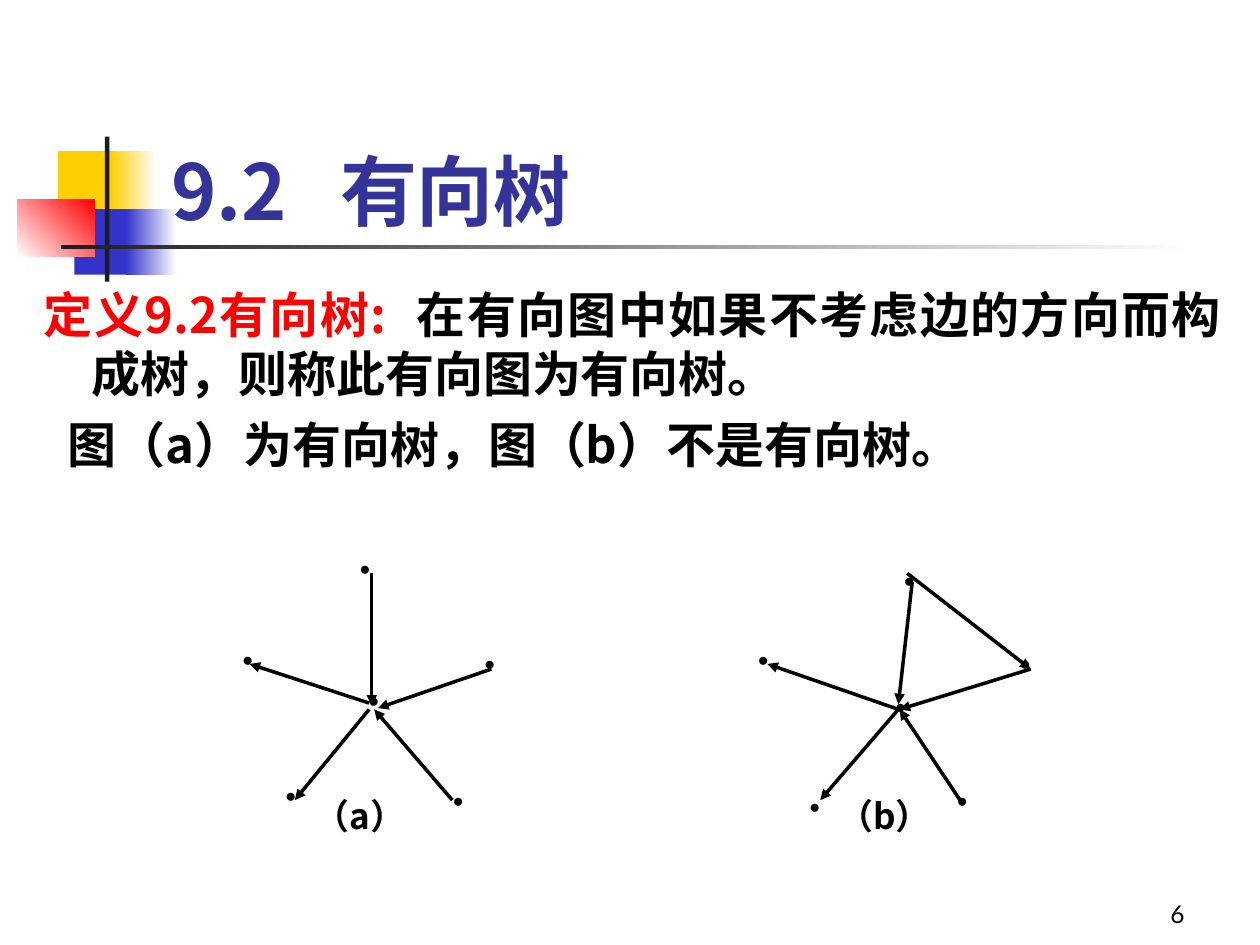
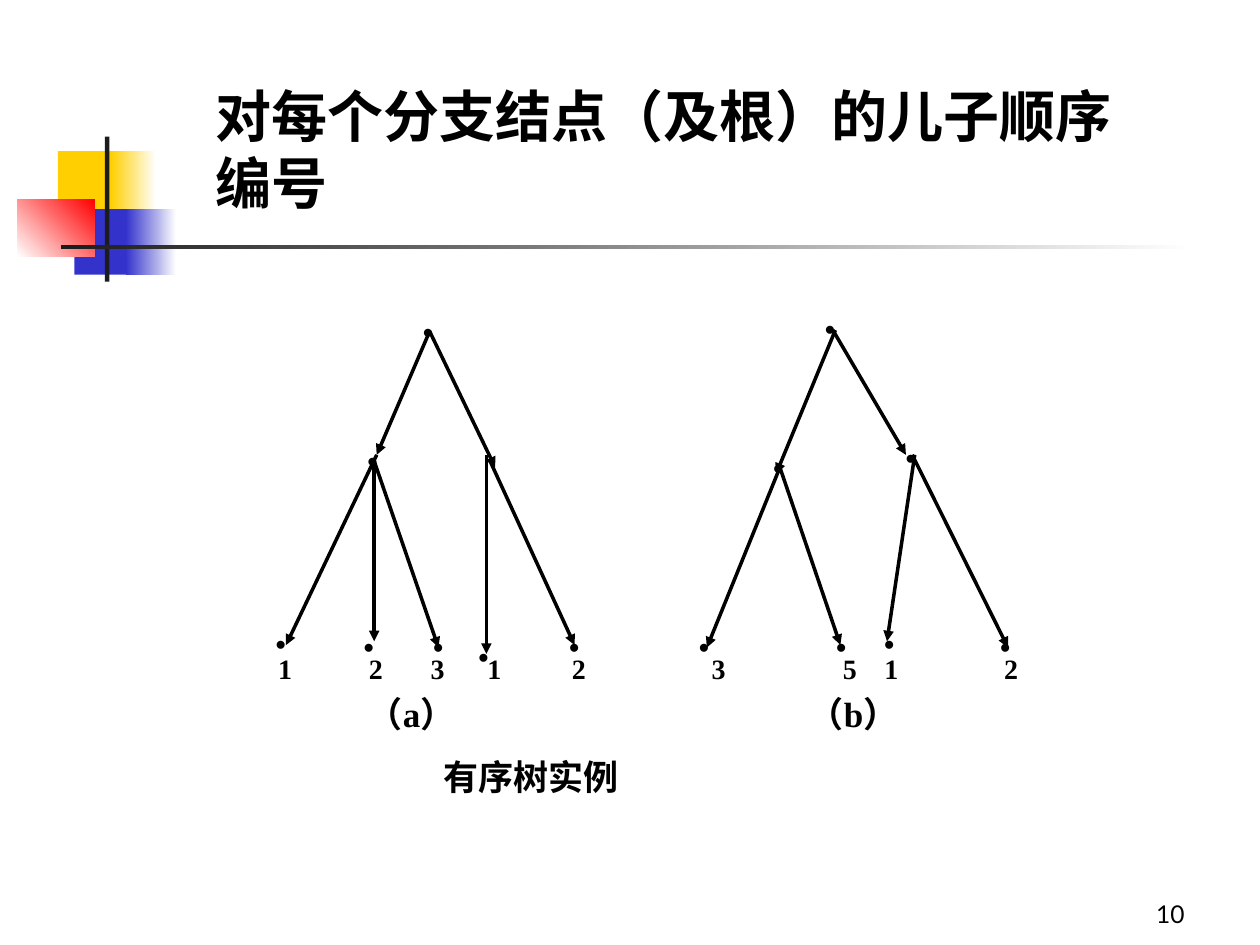
"""Build two slides on directed and ordered trees."""
from lxml.etree import SubElement
from pptx import Presentation
from pptx.dml.color import RGBColor
from pptx.enum.shapes import MSO_CONNECTOR, MSO_SHAPE
from pptx.enum.text import MSO_ANCHOR, PP_ALIGN
from pptx.oxml.ns import qn
from pptx.util import Inches, Pt

BLACK = RGBColor(0x00, 0x00, 0x00)
WHITE = RGBColor(0xFF, 0xFF, 0xFF)
RED = RGBColor(0xFF, 0x00, 0x00)
YELLOW = RGBColor(0xFF, 0xCF, 0x01)
BLUE = RGBColor(0x33, 0x33, 0xCC)
NAVY = RGBColor(0x33, 0x33, 0x99)
CHARCOAL = RGBColor(0x1C, 0x1C, 0x1C)

CJK = "Noto Sans CJK SC"
SERIF = "Times New Roman"
COLUMNS, ROWS = 100, 75
CELL = Inches(10) // COLUMNS

BANDS = [
    ((4.6, 12, 4.8, 5.2), YELLOW, None, 0),
    ((8.8, 12, 3.6, 5.2), YELLOW, WHITE, 0),
    ((5.9, 16.6, 4.6, 5.2), BLUE, None, 0),
    ((10, 16.6, 4, 5.2), BLUE, WHITE, 0),
    ((1.4, 15.8, 6.1, 4.6), WHITE, RED, 45),
    ((8.33, 10.85, 0.35, 11.5), CHARCOAL, None, 0),
    ((4.85, 19.45, 90, 0.35), CHARCOAL, WHITE, 0),
]

STAR_ARROWS = [
    (29.5, 45.5, 29.5, 56), (39, 53.1, 30, 56.2), (29.3, 55.8, 19.8, 52.7),
    (29.3, 56.3, 23.4, 63.5), (35.9, 63.5, 29.7, 56.3),
]
CYCLE_ARROWS = [
    (76.4, 63.8, 71.4, 56.3), (81.8, 53.1, 71.4, 56.3), (71.3, 56.3, 60.9, 52.7),
    (71.3, 56.3, 65.1, 63.5), (72, 45.5, 81.8, 53.1), (72.4, 46.2, 71.3, 55.9),
]
STAR_DOTS = [(37.5, 50.8), (28.3, 53.8), (27.6, 43.3), (35, 61.7), (21.7, 61.3), (18.3, 50.5)]
CYCLE_DOTS = [(70.1, 54.2), (59.2, 50.5), (63.3, 62.2), (70.8, 44.2), (80, 50.8), (75, 61.7)]

LEFT_TREE_ARROWS = [
    (34.1, 26.3, 29.9, 36.1), (34.1, 26.3, 39.3, 37.1), (29.9, 36.1, 22.7, 51.2),
    (29.7, 36.6, 34.8, 51.4), (29.7, 36.6, 29.7, 50.9), (38.9, 36.6, 45.6, 51.2),
    (38.6, 36.1, 38.6, 51.9),
]
RIGHT_TREE_ARROWS = [
    (66.3, 26.2, 61.6, 37.6), (66.1, 26.2, 71.9, 36.1), (61.9, 37.1, 56.1, 51.4),
    (61.9, 37.1, 66.7, 51.2), (72.4, 36.1, 80, 51.4), (72.6, 36.1, 70.4, 50.9),
]
LEFT_TREE_DOTS = [
    (32.6, 24.5), (28.2, 34.7), (20.9, 49.2), (27.9, 49.5), (33.4, 49.5), (37, 50.3), (44.2, 49.5),
]
RIGHT_TREE_DOTS = [
    (64.5, 24.2), (60.4, 35.3), (70.9, 34.5), (54.5, 49.5), (65.4, 49.5), (69.2, 49.2), (78.4, 49.5),
]
CHILD_NUMBERS = [
    ("1", 6.1), ("2", 13.3), ("3", 18.2), ("1", 22.7), ("2", 29.4),
    ("3", 40.5), ("5", 50.9), ("1", 54.2), ("2", 63.7),
]


def cells(*counts):
    """Turn grid cells into slide lengths."""
    return [round(count * CELL) for count in counts]


def write(para, text, size=16, font=CJK, color=BLACK, bold=True):
    """Add one formatted span of text to a paragraph."""
    span = para.add_run()
    span.text = text
    span.font.size = Pt(size)
    span.font.name = font
    span.font.bold = bold
    span.font.color.rgb = color
    east_asian = SubElement(span._r.get_or_add_rPr(), qn("a:ea"))
    east_asian.set("typeface", CJK if font == SERIF else font)


def set_tabs(para, stops):
    """Set left tab stops, given in grid cells."""
    tab_list = SubElement(para._p.get_or_add_pPr(), qn("a:tabLst"))
    for position in cells(*stops):
        SubElement(tab_list, qn("a:tab"), pos=str(position), algn="l")


def set_indent(para, margin, first_line):
    """Set the left margin and first line indent in grid cells."""
    properties = para._p.get_or_add_pPr()
    for name, length in zip(("marL", "indent"), cells(margin, first_line)):
        properties.set(name, str(length))


class TreeDeck:
    """Hold the deck style and the slide being drawn."""

    def __init__(self):
        """Start an empty deck."""
        self.deck = Presentation()
        self.deck.slide_width, self.deck.slide_height = cells(COLUMNS, ROWS)
        self.page = None

    def start_page(self, number):
        """Add a page with the shared bands and its number."""
        self.page = self.deck.slides.add_slide(self.deck.slide_layouts[6])
        for place, color, end_color, angle in BANDS:
            self.band(place, color, end_color, angle)
        self.text((74.2, 69.2, 20.8, 5), str(number), align=PP_ALIGN.RIGHT,
                  anchor=MSO_ANCHOR.BOTTOM, size=14, font="Lato", bold=False)

    def band(self, place, color, end_color, angle):
        """Draw a plain or fading rectangle."""
        shape = self.page.shapes.add_shape(MSO_SHAPE.RECTANGLE, *cells(*place))
        shape.shadow.inherit = False
        shape.line.fill.background()
        if end_color is None:
            shape.fill.solid()
            shape.fill.fore_color.rgb = color
            return
        shape.fill.gradient()
        shape.fill.gradient_angle = angle
        for stop, stop_color in zip(shape.fill.gradient_stops, (color, end_color)):
            stop.color.rgb = stop_color

    def box(self, place, anchor=MSO_ANCHOR.TOP):
        """Add an empty text box and return its frame."""
        frame = self.page.shapes.add_textbox(*cells(*place)).text_frame
        frame.word_wrap = True
        frame.vertical_anchor = anchor
        return frame

    def text(self, place, text, align=PP_ALIGN.LEFT, anchor=MSO_ANCHOR.TOP, tabs=(), **style):
        """Add a text box with one paragraph."""
        para = self.box(place, anchor).paragraphs[0]
        para.alignment = align
        if tabs:
            set_tabs(para, tabs)
        write(para, text, **style)

    def arrows(self, routes):
        """Draw the edges of a graph."""
        for route in routes:
            edge = self.page.shapes.add_connector(MSO_CONNECTOR.STRAIGHT, *cells(*route))
            edge.line.color.rgb = BLACK
            edge.line.width = Pt(2)
            SubElement(edge.line._get_or_add_ln(), qn("a:tailEnd"), type="triangle")
            SubElement(edge._element.spPr, qn("a:effectLst"))

    def dots(self, corners, width, height):
        """Draw the nodes of a graph."""
        for left, top in corners:
            self.text((left, top, width, height), "•", font="Arial")


def draw_directed_trees(deck):
    """Draw the definition page."""
    deck.start_page(6)
    deck.text((12.6, 6.7, 85.2, 12.5), "9.2\t有向树", anchor=MSO_ANCHOR.BOTTOM,
              tabs=[13.4], size=44, color=NAVY)
    frame = deck.box((2.5, 22.1, 95.4, 45))
    definition, example = frame.paragraphs[0], frame.add_paragraph()
    for para, first_line in ((definition, -3.8), (example, -1.9)):
        para.alignment = PP_ALIGN.JUSTIFY
        set_indent(para, 3.8, first_line)
    example.space_before = Pt(7)
    set_tabs(definition, [32.4])
    write(definition, "定义9.2有向树:\t", size=28, color=RED)
    write(definition, "在有向图中如果不考虑边的方向而构成树，则称此有向图为有向树。", size=28)
    write(example, "图（a）为有向树，图（b）不是有向树。", size=28)
    deck.arrows(STAR_ARROWS + CYCLE_ARROWS)
    deck.dots(STAR_DOTS + CYCLE_DOTS, 5.1, 4.7)
    for caption, left in (("（a）", 21.6), ("（b）", 63.2)):
        deck.text((left, 62.2, 14, 5), caption, align=PP_ALIGN.CENTER,
                  anchor=MSO_ANCHOR.MIDDLE, size=20)


def draw_ordered_trees(deck):
    """Draw the page of ordered tree examples."""
    deck.start_page(10)
    deck.arrows(LEFT_TREE_ARROWS + RIGHT_TREE_ARROWS)
    numbers = "".join(f"\t{number}" for number, _ in CHILD_NUMBERS)
    deck.text((15, 51.2, 70.8, 7.5), numbers, font=SERIF,
              tabs=[position for _, position in CHILD_NUMBERS])
    deck.dots(LEFT_TREE_DOTS + RIGHT_TREE_DOTS, 2.9, 3.7)
    for caption, left in (("（a）", 28.2), ("（b）", 63.2)):
        deck.text((left, 54.5, 11, 4.4), caption, size=20, font=SERIF)
    deck.text((34.2, 59.5, 43.3, 4.4), "有序树实例", size=20, font=SERIF)
    deck.text((16.1, 6, 73.3, 11.7), "对每个分支结点（及根）的儿子顺序编号", size=32, font=SERIF)


def main():
    """Build and save the deck."""
    deck = TreeDeck()
    draw_directed_trees(deck)
    draw_ordered_trees(deck)
    deck.deck.save("out.pptx")


if __name__ == "__main__":
    main()
